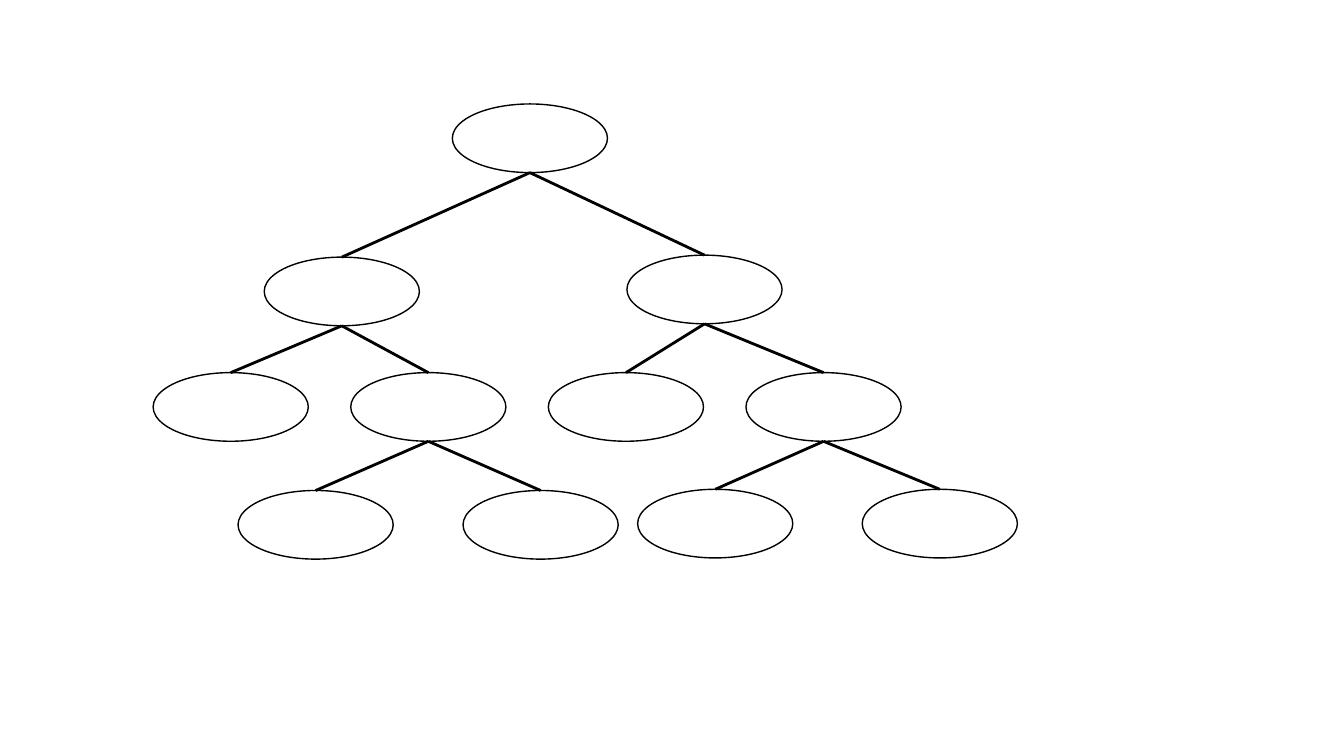
from dataclasses import dataclass

from lxml import etree
from pptx import Presentation
from pptx.dml.color import RGBColor
from pptx.enum.shapes import MSO_CONNECTOR, MSO_SHAPE
from pptx.oxml.ns import qn
from pptx.util import Cm, Pt

ELLIPSE = MSO_SHAPE.OVAL
STRAIGHT = MSO_CONNECTOR.STRAIGHT
TOP_SITE = 0


@dataclass(frozen=True)
class Theme:
    """Colours, line widths and node size of the tree."""
    ink: RGBColor = RGBColor(0, 0, 0)
    outline: Pt = Pt(1)
    branch: Pt = Pt(2)
    node_width: Cm = Cm(3.91)
    node_height: Cm = Cm(1.73)


@dataclass(frozen=True)
class Node:
    """A tree node, with its offset in cm inside the tree's box."""
    x: float
    y: float
    children: tuple = ()


THEME = Theme()
LEAF_ROW = 6.77
LEAF_PITCH = 4.98

LEFT_INNER = Node(LEAF_PITCH, LEAF_ROW, (Node(2.14, 9.74), Node(7.81, 9.74)))
RIGHT_INNER = Node(3 * LEAF_PITCH, LEAF_ROW, (Node(12.21, 9.71), Node(17.87, 9.71)))
LEFT_BRANCH = Node(2.8, 3.86, (Node(0, LEAF_ROW), LEFT_INNER))
RIGHT_BRANCH = Node(11.94, 3.81, (Node(2 * LEAF_PITCH, LEAF_ROW), RIGHT_INNER))
ROOT = Node(7.54, 0, (LEFT_BRANCH, RIGHT_BRANCH))


def set_line(shape, width):
    """Give a shape or connector a plain line in the theme's ink."""
    shape.line.color.rgb = THEME.ink
    shape.line.width = width


def add_node(shapes, left, top):
    """Draw one empty, outlined ellipse."""
    ellipse = shapes.add_shape(ELLIPSE, left, top, THEME.node_width, THEME.node_height)
    ellipse.shadow.inherit = False
    ellipse.fill.background()
    set_line(ellipse, THEME.outline)
    return ellipse


def add_branch(shapes, parent, child):
    """Join the bottom of a parent to the top of its child."""
    start_x = parent.left + parent.width // 2
    start_y = parent.top + parent.height
    branch = shapes.add_connector(STRAIGHT, start_x, start_y, child.left, child.top)
    branch.end_connect(child, TOP_SITE)
    set_line(branch, THEME.branch)
    etree.SubElement(branch._element.spPr, qn("a:effectLst"))


def add_tree(shapes, node, left, top):
    """Draw a node and everything below it in the box at left, top."""
    parent = add_node(shapes, left + Cm(node.x), top + Cm(node.y))
    for child_node in node.children:
        child = add_tree(shapes, child_node, left, top)
        add_branch(shapes, parent, child)
    return parent


def main():
    """Build the slide with the binary tree and save it."""
    deck = Presentation()
    deck.slide_width, deck.slide_height = Cm(33.87), Cm(19.05)
    slide = deck.slides.add_slide(deck.slide_layouts[6])
    tree = slide.shapes.add_group_shape()
    add_tree(tree.shapes, ROOT, Cm(3.86), Cm(2.62))
    deck.save("out.pptx")


if __name__ == "__main__":
    main()
